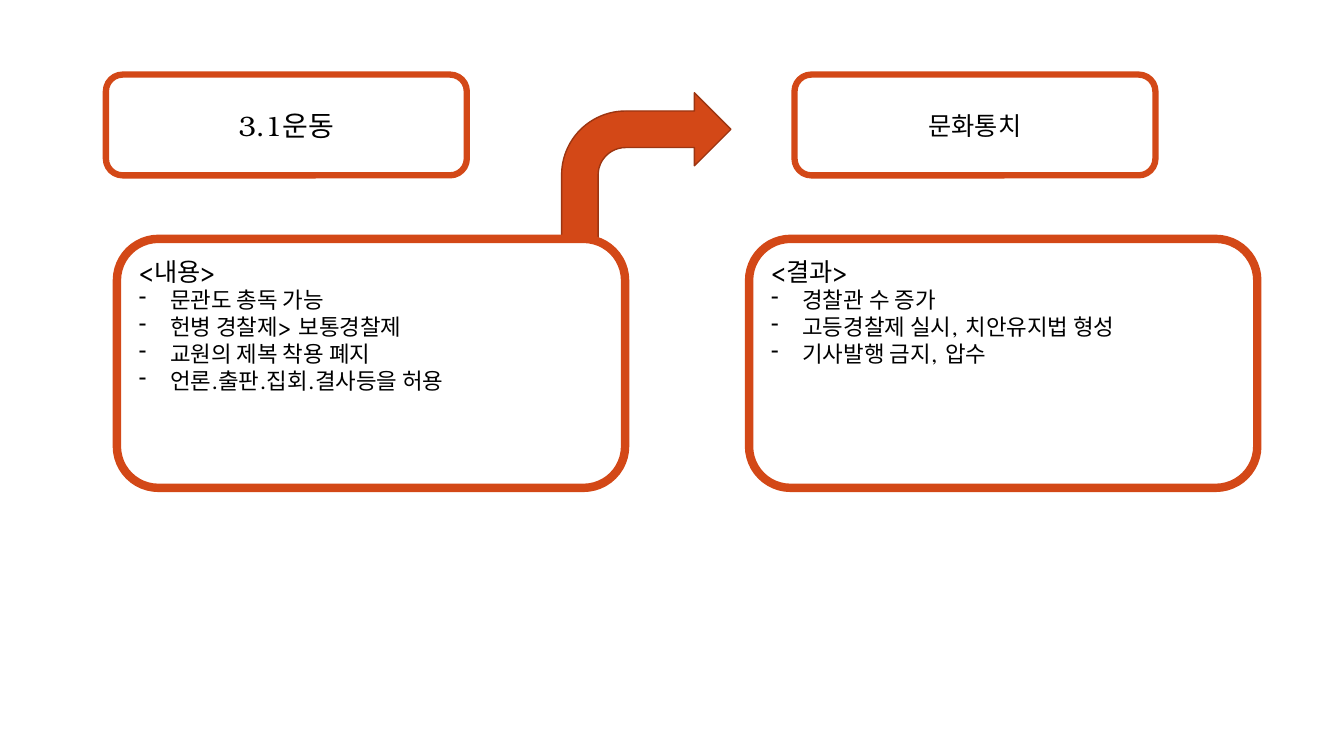
from lxml import etree
from pptx import Presentation
from pptx import util as u
from pptx.dml.color import RGBColor
from pptx.enum import shapes, text
from pptx.oxml.ns import qn

FONT = "TeX Gyre Bonum"
ORANGE, RUST, WHITE, BLACK = "D34817", "9C3511", "FFFFFF", "000000"

# Two columns: left edges of the title boxes and of the panels, in inches
COLUMNS = [
    dict(title="3.1운동", title_size=20, title_x=1.05, panel_x=1.16,
         heading="<내용>",
         items=["문관도 총독 가능", "헌병 경찰제> 보통경찰제",
                "교원의 제복 착용 폐지", "언론.출판.집회.결사등을 허용"]),
    dict(title="문화통치", title_size=18, title_x=7.88, panel_x=7.43,
         heading="<결과>",
         items=["경찰관 수 증가", "고등경찰제 실시, 치안유지법 형성",
                "기사발행 금지, 압수"]),
]
TITLE_Y, TITLE_W, TITLE_H = 0.74, 3.58, 1
PANEL_Y, PANEL_W, PANEL_H = 2.37, 5.04, 2.47
ARROW_BOX = (5.57, 0.92, 1.68, PANEL_Y - 0.92)
INDENT = u.Inches(0.31)


def color(hex_code):
    return RGBColor.from_string(hex_code)


def add_box(s, kind, box, fill, line, width):
    sp = s.shapes.add_shape(kind, *[u.Inches(v) for v in box])
    sp.shadow.inherit = False
    sp.fill.solid()
    sp.fill.fore_color.rgb = color(fill)
    sp.line.color.rgb = color(line)
    sp.line.width = u.Pt(width)
    return sp


def add_text(p, words, size=16, align=text.PP_ALIGN.LEFT, bullet=None):
    p.alignment = align
    if bullet:
        pPr = p._p.get_or_add_pPr()
        pPr.set("marL", str(INDENT))
        pPr.set("indent", str(-INDENT))
        etree.SubElement(pPr, qn("a:buFontTx"))
        etree.SubElement(pPr, qn("a:buChar")).set("char", bullet)
    r = p.add_run()
    r.text = words
    r.font.name = FONT
    r.font.size = u.Pt(size)
    r.font.color.rgb = color(BLACK)


def add_title(s, box, words, size):
    sp = add_box(s, shapes.MSO_SHAPE.ROUNDED_RECTANGLE, box, WHITE, ORANGE, 4.5)
    tf = sp.text_frame
    tf.vertical_anchor = text.MSO_ANCHOR.MIDDLE
    add_text(tf.paragraphs[0], words, size, text.PP_ALIGN.CENTER)


def add_panel(s, box, heading, items):
    sp = add_box(s, shapes.MSO_SHAPE.ROUNDED_RECTANGLE, box, WHITE, ORANGE, 6)
    tf = sp.text_frame
    tf.vertical_anchor = text.MSO_ANCHOR.TOP
    add_text(tf.paragraphs[0], heading, 18)
    for item in items:
        add_text(tf.add_paragraph(), item, bullet="-")


def main():
    prs = Presentation()
    prs.slide_width, prs.slide_height = u.Inches(13.33), u.Inches(7.5)
    s = prs.slides.add_slide(prs.slide_layouts[6])

    # Titles
    for col in COLUMNS:
        add_title(s, (col["title_x"], TITLE_Y, TITLE_W, TITLE_H),
                  col["title"], col["title_size"])

    # Arrow from the left panel to the right title
    add_box(s, shapes.MSO_SHAPE.BENT_ARROW, ARROW_BOX, ORANGE, RUST, 1)

    # Panels
    for col in COLUMNS:
        add_panel(s, (col["panel_x"], PANEL_Y, PANEL_W, PANEL_H),
                  col["heading"], col["items"])

    prs.save("out.pptx")


if __name__ == "__main__":
    main()
